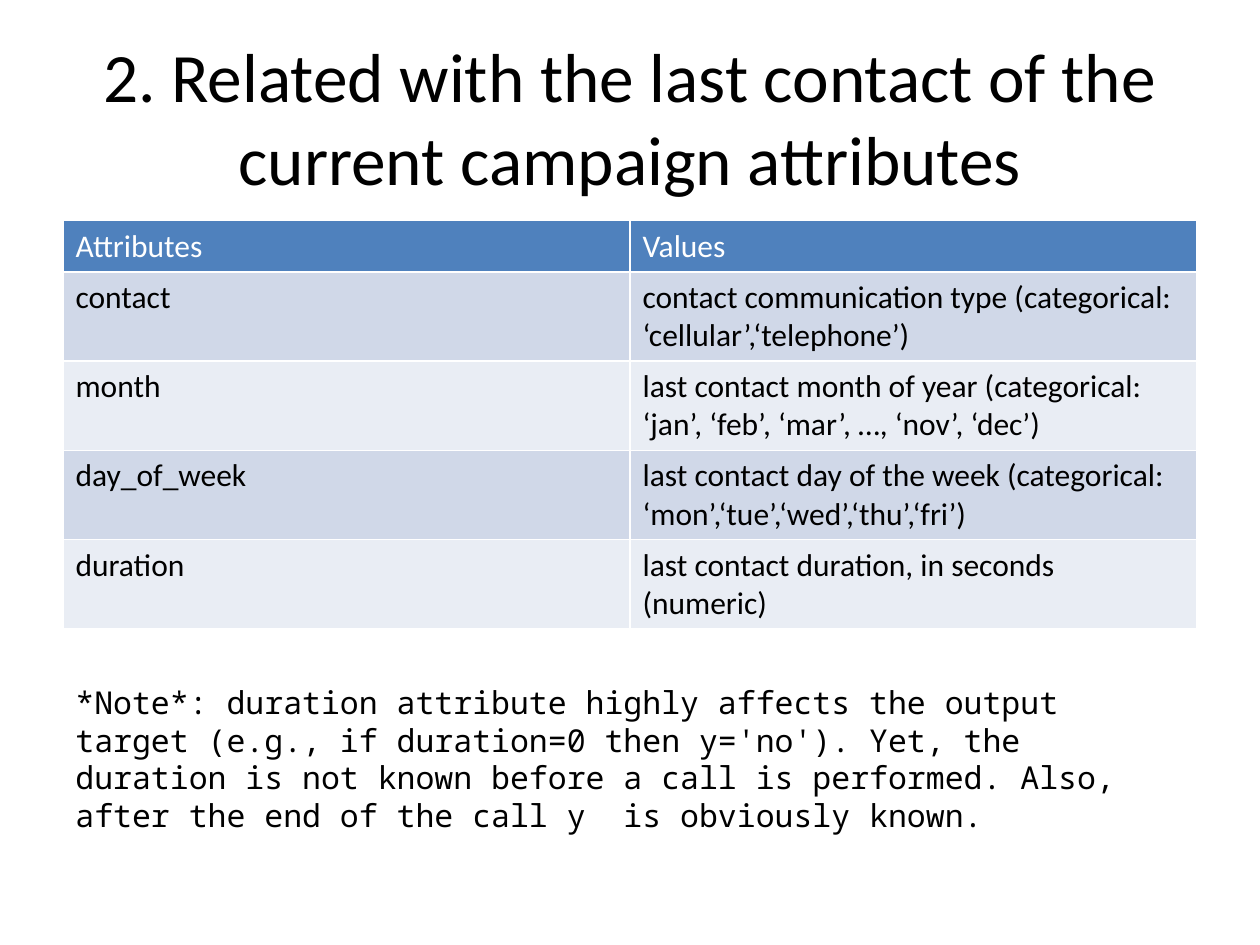
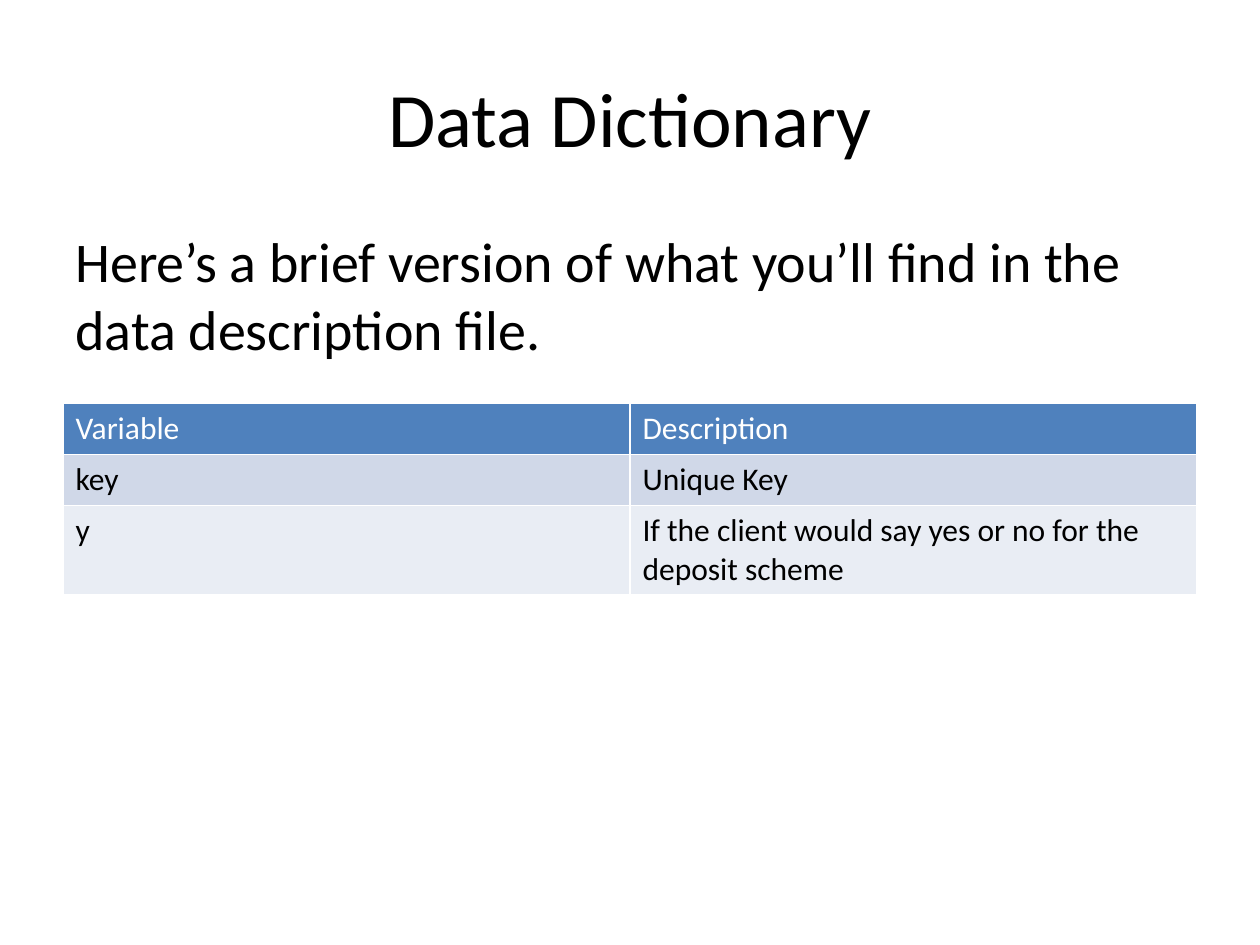
from pptx import Presentation
from pptx.dml.color import RGBColor
from pptx.enum.text import MSO_ANCHOR, PP_ALIGN
from pptx.util import Cm, Pt

COLORS = {
    "text": "000000",
    "header_text": "FFFFFF",
    "header": "4F81BD",
    "odd_row": "D0D8E8",
    "even_row": "E9EDF4",
}
BODY_FONT, NOTE_FONT = "Calibri", "Noto Sans Mono"
LEFT, WIDTH = Cm(1.27), Cm(22.86)
ONE_LINE_ROW, TWO_LINE_ROW = Cm(1.03), Cm(1.8)

SLIDES = [
    {
        "title": "2. Related with the last contact of the current campaign attributes",
        "title_size": 39.6,
        "table_top": 4.45,
        "row_heights": [ONE_LINE_ROW] + [TWO_LINE_ROW] * 4,
        "rows": [
            ("Attributes", "Values"),
            ("contact", "contact communication type (categorical: ‘cellular’,‘telephone’)"),
            ("month", "last contact month of year (categorical: ‘jan’, ‘feb’, ‘mar’, …, ‘nov’, ‘dec’)"),
            ("day_of_week", "last contact day of the week (categorical: ‘mon’,‘tue’,‘wed’,‘thu’,‘fri’)"),
            ("duration", "last contact duration, in seconds (numeric)"),
        ],
        "passage": "*Note*: duration attribute highly affects the output target "
                   "(e.g., if duration=0 then y='no'). Yet, the duration is not known "
                   "before a call is performed. Also, after the end of the call y  is "
                   "obviously known.",
        "passage_style": (18, NOTE_FONT),
        "passage_top": 13.64,
        "passage_height": 2.92,
    },
    {
        "title": "Data Dictionary",
        "title_size": 44,
        "table_top": 8.13,
        "row_heights": [ONE_LINE_ROW, ONE_LINE_ROW, TWO_LINE_ROW],
        "rows": [
            ("Variable", "Description"),
            ("key", "Unique Key"),
            ("y", "If the client would say yes or no for the deposit scheme"),
        ],
        "passage": "Here’s a brief version of what you’ll find in the data description file.",
        "passage_style": (32, BODY_FONT),
        "passage_top": 4.45,
        "passage_height": 12.57,
    },
]


def add_run(paragraph, text, size, font=BODY_FONT, color="text"):
    run = paragraph.add_run()
    run.text = text
    run.font.size = Pt(size)
    run.font.name = font
    run.font.bold = False
    run.font.color.rgb = RGBColor.from_string(COLORS[color])


prs = Presentation()
prs.slide_width, prs.slide_height = Cm(25.4), Cm(19.05)
title_only = prs.slide_layouts[5]

for content in SLIDES:
    slide = prs.slides.add_slide(title_only)

    title = slide.shapes.title
    title.left, title.top, title.width, title.height = LEFT, Cm(0.76), WIDTH, Cm(3.18)
    title.text_frame.vertical_anchor = MSO_ANCHOR.MIDDLE
    heading = title.text_frame.paragraphs[0]
    heading.alignment = PP_ALIGN.CENTER
    add_run(heading, content["title"], content["title_size"])

    passage = slide.shapes.add_textbox(
        LEFT, Cm(content["passage_top"]), WIDTH, Cm(content["passage_height"])
    ).text_frame
    passage.word_wrap = True
    add_run(passage.paragraphs[0], content["passage"], *content["passage_style"])

    rows, heights = content["rows"], content["row_heights"]
    attributes = slide.shapes.add_table(
        len(rows), 2, LEFT, Cm(content["table_top"]), WIDTH, sum(heights)
    ).table
    for row_no, (entries, height) in enumerate(zip(rows, heights)):
        attributes.rows[row_no].height = height
        if row_no == 0:
            fill, ink = "header", "header_text"
        else:
            fill, ink = ("odd_row" if row_no % 2 else "even_row"), "text"
        for col_no, entry in enumerate(entries):
            cell = attributes.cell(row_no, col_no)
            cell.fill.solid()
            cell.fill.fore_color.rgb = RGBColor.from_string(COLORS[fill])
            add_run(cell.text_frame.paragraphs[0], entry, 18, color=ink)

prs.save("out.pptx")
